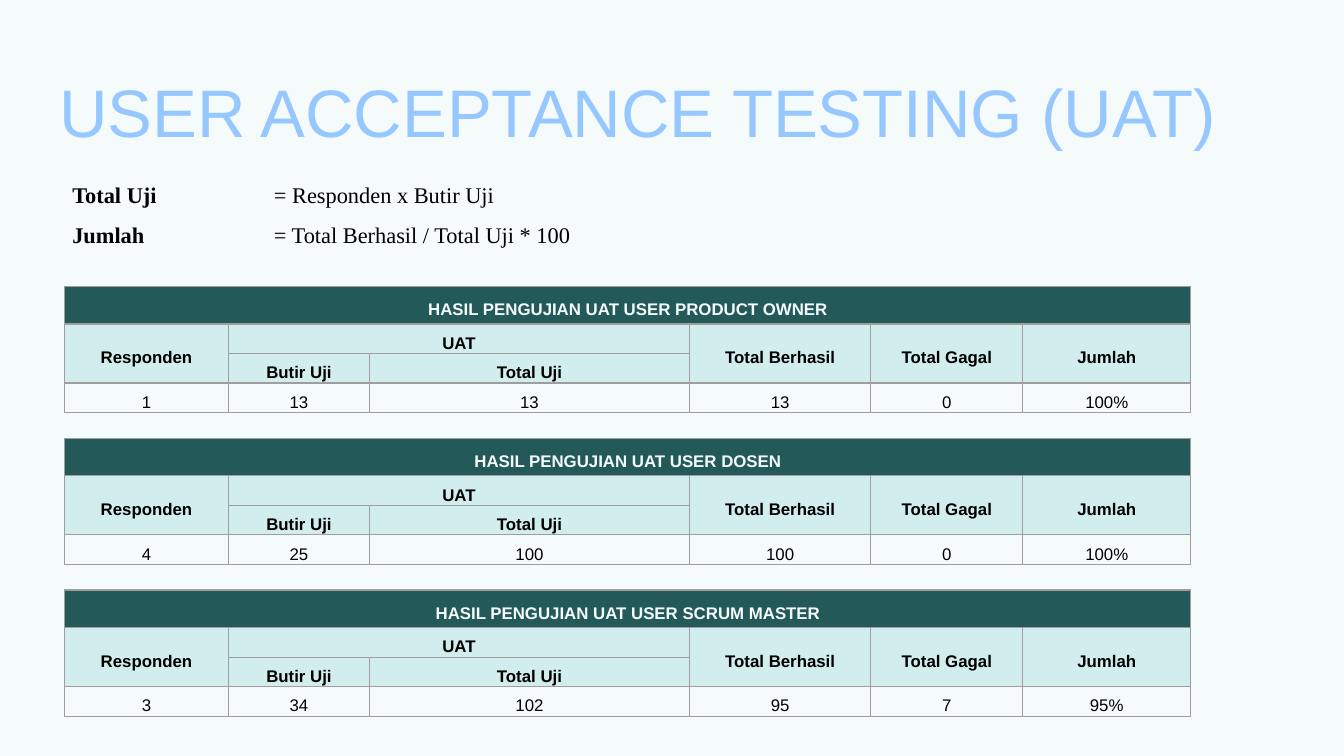
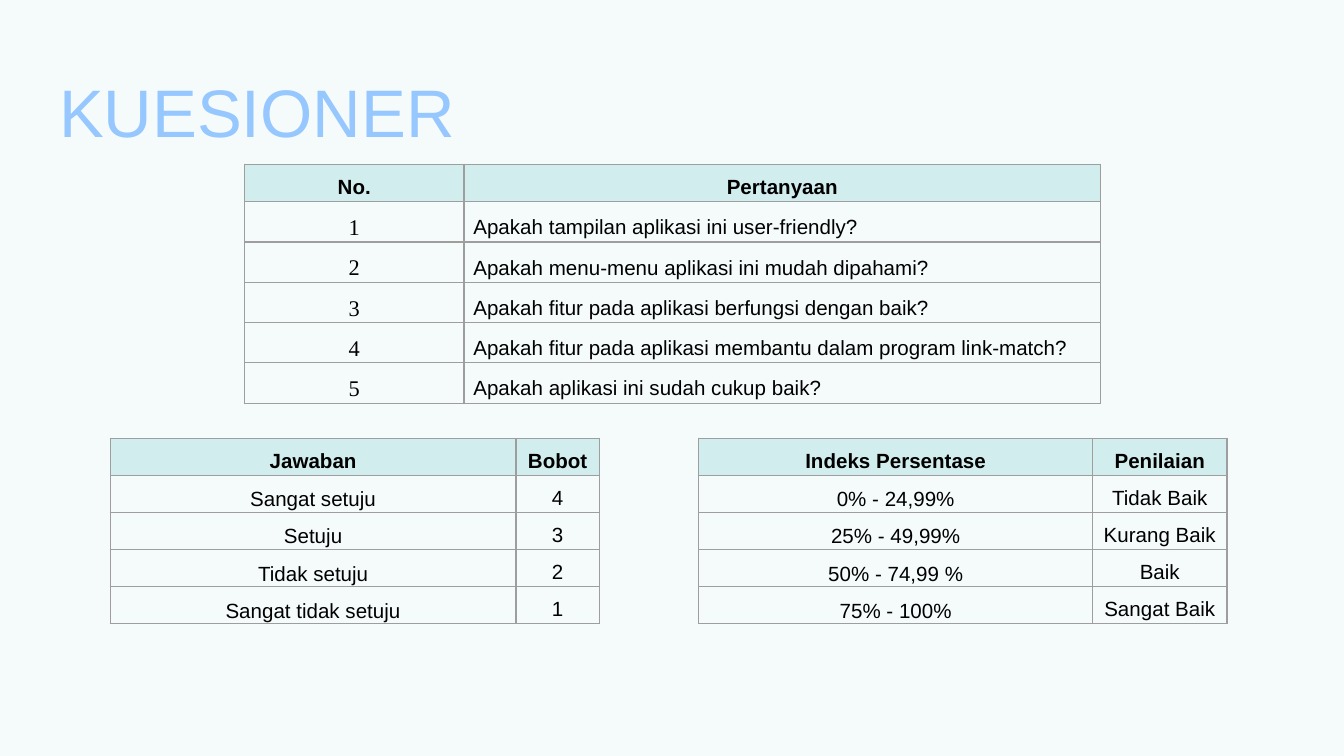
from lxml import etree
from pptx import Presentation
from pptx.dml.color import RGBColor
from pptx.enum.text import MSO_ANCHOR, MSO_AUTO_SIZE, PP_ALIGN
from pptx.oxml.ns import qn
from pptx.util import Inches, Pt

TOP, MIDDLE = MSO_ANCHOR.TOP, MSO_ANCHOR.MIDDLE
LEFT, CENTER = PP_ALIGN.LEFT, PP_ALIGN.CENTER
NO_FIT, GROW = MSO_AUTO_SIZE.NONE, MSO_AUTO_SIZE.SHAPE_TO_FIT_TEXT
TITLE_ONLY = 5

COLORS = {
    "page": "F5FBFB",
    "title": "96C7FE",
    "banner": "235959",
    "header": "D2EDED",
    "border": "9E9E9E",
    "ink": "000000",
}
SANS, SERIF = "Arial", "Times New Roman"
WIDTH = Inches(10)
HEIGHT = WIDTH * 9 // 16

TITLE_BOX = (3.4, 6.58, 93.2, 11.2)
FORMULA_BOX = (-5.6, 21.33, 55, 11.91)
UAT_BOX = (4.8, 37.87, 83.8, 16.71)
UAT_PITCH = 20.09
QUESTION_BOX = (18.2, 21.72, 63.7, 31.64)
ANSWER_BOX = (8.2, 57.96, 36.4, 24.6)
INDEX_BOX = (52, 57.96, 39.3, 24.6)

FORMULAS = [
    ("Total Uji", "= Responden x Butir Uji"),
    ("Jumlah", "= Total Berhasil / Total Uji * 100"),
]
UAT_HEADERS = [
    ["Responden", "UAT", "", "Total Berhasil", "Total Gagal", "Jumlah"],
    ["", "Butir Uji", "Total Uji", "", "", ""],
]
UAT_MERGES = [(0, 0, 0, 5), (1, 0, 2, 0), (1, 1, 1, 2), (1, 3, 2, 3), (1, 4, 2, 4), (1, 5, 2, 5)]
UAT_RESULTS = [
    ("PRODUCT OWNER", ["1", "13", "13", "13", "0", "100%"]),
    ("DOSEN", ["4", "25", "100", "100", "0", "100%"]),
    ("SCRUM MASTER", ["3", "34", "102", "95", "7", "95%"]),
]
QUESTIONS = [
    "Apakah tampilan aplikasi ini user-friendly?",
    "Apakah menu-menu aplikasi ini mudah dipahami?",
    "Apakah fitur pada aplikasi berfungsi dengan baik?",
    "Apakah fitur pada aplikasi membantu dalam program link-match?",
    "Apakah aplikasi ini sudah cukup baik?",
]
ANSWERS = [
    ("Jawaban", "Bobot"),
    ("Sangat setuju", "4"),
    ("Setuju", "3"),
    ("Tidak setuju", "2"),
    ("Sangat tidak setuju", "1"),
]
INDEXES = [
    ("Indeks Persentase", "Penilaian"),
    ("0% - 24,99%", "Tidak Baik"),
    ("25% - 49,99%", "Kurang Baik"),
    ("50% - 74,99 %", "Baik"),
    ("75% - 100%", "Sangat Baik"),
]


def color(name):
    return RGBColor.from_string(COLORS[name])


def place(box):
    left, top, width, height = box
    return [round(share * size / 100) for share, size in
            ((left, WIDTH), (top, HEIGHT), (width, WIDTH), (height, HEIGHT))]


def write(para, text, size=11, font=SANS, ink="ink", bold=False, align=LEFT, spacing=1.5):
    para.alignment = align
    para.line_spacing = spacing
    span = para.add_run()
    span.text = text
    span.font.size = Pt(size)
    span.font.name = font
    span.font.bold = bold
    span.font.color.rgb = color(ink)


def add_page(deck, title):
    page = deck.slides.add_slide(deck.slide_layouts[TITLE_ONLY])
    page.background.fill.solid()
    page.background.fill.fore_color.rgb = color("page")
    holder = page.shapes.title
    holder.left, holder.top, holder.width, holder.height = place(TITLE_BOX)
    frame = holder.text_frame
    frame.auto_size = NO_FIT
    frame.word_wrap = True
    frame.vertical_anchor = TOP
    frame.margin_left = frame.margin_right = frame.margin_bottom = Inches(0.1)
    frame.margin_top = Inches(0.15)
    write(frame.paragraphs[0], title, size=36, ink="title", spacing=1.0)
    return page


def add_borders(cell):
    properties = cell._tc.get_or_add_tcPr()
    for index, side in enumerate(("a:lnL", "a:lnR", "a:lnT", "a:lnB")):
        line = etree.Element(qn(side), w=str(Pt(0.75)))
        fill = etree.SubElement(line, qn("a:solidFill"))
        etree.SubElement(fill, qn("a:srgbClr"), val=COLORS["border"])
        properties.insert(index, line)


def format_cell(cell, text, fill=None, anchor=MIDDLE, inset=0.07, **style):
    cell.vertical_anchor = anchor
    cell.margin_left = cell.margin_right = Inches(inset)
    cell.margin_top = cell.margin_bottom = 0
    if fill:
        cell.fill.solid()
        cell.fill.fore_color.rgb = color(fill)
    else:
        cell.fill.background()
    add_borders(cell)
    write(cell.text_frame.paragraphs[0], text, **style)


def add_grid(page, box, columns, rows, values, style_of, merges=()):
    left, top, width, height = place(box)
    table = page.shapes.add_table(len(rows), len(columns), left, top, width, height).table
    table.first_row = table.horz_banding = False
    for column, weight in zip(table.columns, columns):
        column.width = round(width * weight / sum(columns))
    for row, weight in zip(table.rows, rows):
        row.height = round(height * weight / sum(rows))
    for first_row, first_column, last_row, last_column in merges:
        table.cell(first_row, first_column).merge(table.cell(last_row, last_column))
    for row, texts in enumerate(values):
        for column, text in enumerate(texts):
            format_cell(table.cell(row, column), text, **style_of(row, column))


def uat_style(row, column):
    style = {"size": 9, "align": CENTER, "inset": 0.01}
    if row == 0:
        return style | {"fill": "banner", "ink": "page", "bold": True}
    if row < 3:
        return style | {"fill": "header", "bold": True}
    return style


def scale_style(row, column):
    if row == 0:
        return {"fill": "header", "bold": True, "align": CENTER, "anchor": TOP}
    return {"align": CENTER, "anchor": TOP if column else MIDDLE}


def question_style(row, column):
    if row == 0:
        return scale_style(row, column)
    return {} if column else {"size": 12, "font": SERIF, "align": CENTER}


def add_formulas(page, box):
    frame = page.shapes.add_textbox(*place(box)).text_frame
    frame.word_wrap = True
    frame.auto_size = GROW
    for index, (name, formula) in enumerate(FORMULAS):
        para = frame.add_paragraph() if index else frame.paragraphs[0]
        write(para, name, size=12, font=SERIF, bold=True)
        write(para, "\t" + formula, size=12, font=SERIF)
        properties = para._p.get_or_add_pPr()
        for key, length in (("marL", 0.5), ("indent", 0.5), ("defTabSz", 1)):
            properties.set(key, str(Inches(length)))


def build_uat(deck):
    page = add_page(deck, "USER ACCEPTANCE TESTING (UAT)")
    left, top, width, height = UAT_BOX
    for index, (user, results) in enumerate(UAT_RESULTS):
        banner = ["HASIL PENGUJIAN UAT USER " + user] + [""] * 5
        add_grid(page, (left, top + index * UAT_PITCH, width, height),
                 (1.22, 1.05, 2.38, 1.35, 1.13, 1.25), (28, 22, 22, 22),
                 [banner, *UAT_HEADERS, results], uat_style, UAT_MERGES)
    add_formulas(page, FORMULA_BOX)


def build_questionnaire(deck):
    page = add_page(deck, "KUESIONER")
    questions = [("No.", "Pertanyaan")]
    questions += [(str(number), text) for number, text in enumerate(QUESTIONS, 1)]
    add_grid(page, ANSWER_BOX, (3.02, 0.62), [1] * 5, ANSWERS, scale_style)
    add_grid(page, QUESTION_BOX, (1.63, 4.73), [28] + [30] * 5, questions, question_style)
    add_grid(page, INDEX_BOX, (2.93, 1), [1] * 5, INDEXES, scale_style)


def main():
    deck = Presentation()
    deck.slide_width, deck.slide_height = WIDTH, HEIGHT
    build_uat(deck)
    build_questionnaire(deck)
    deck.save("out.pptx")


if __name__ == "__main__":
    main()
